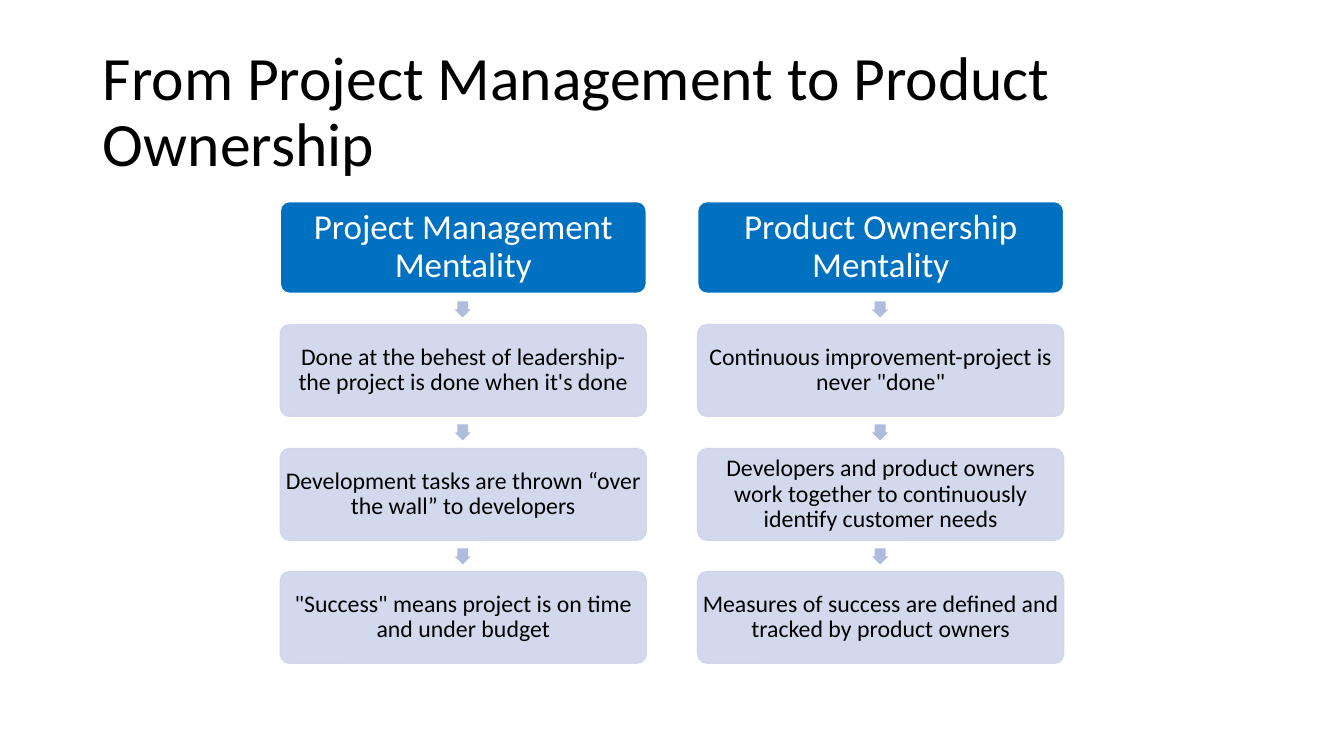
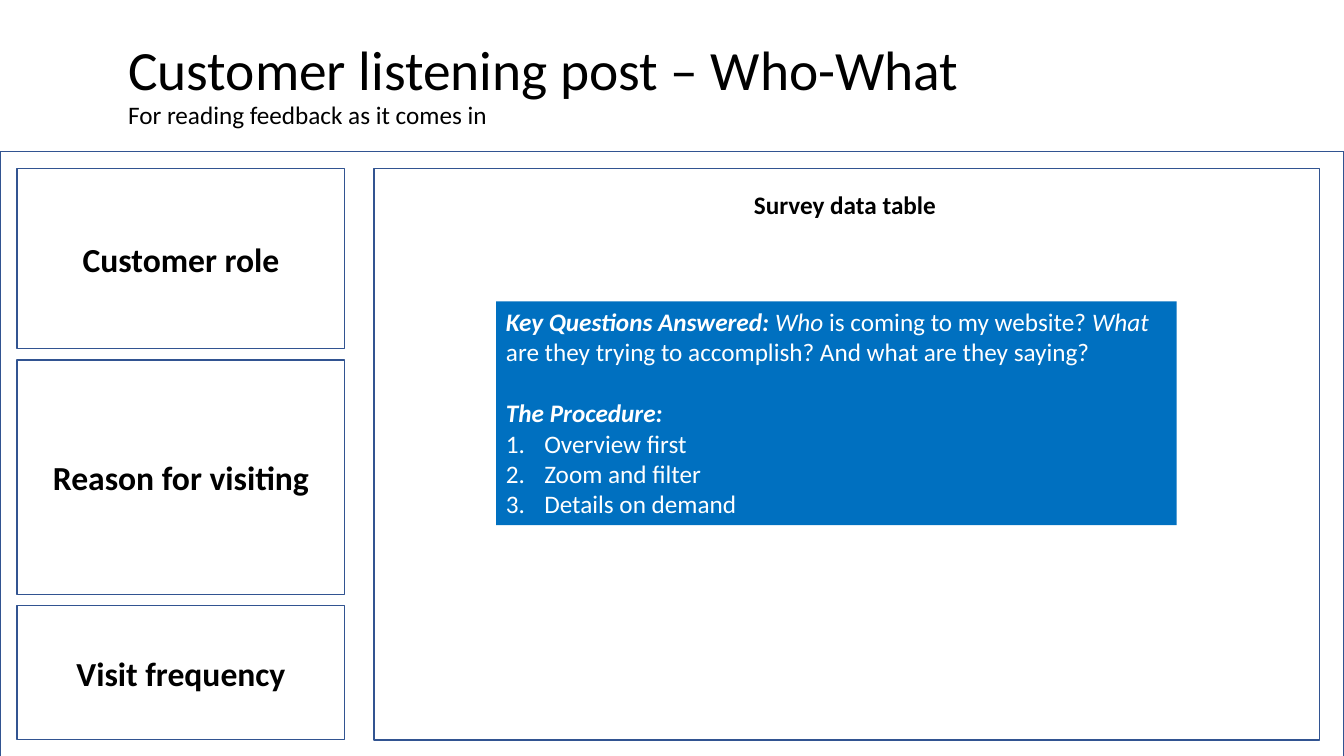
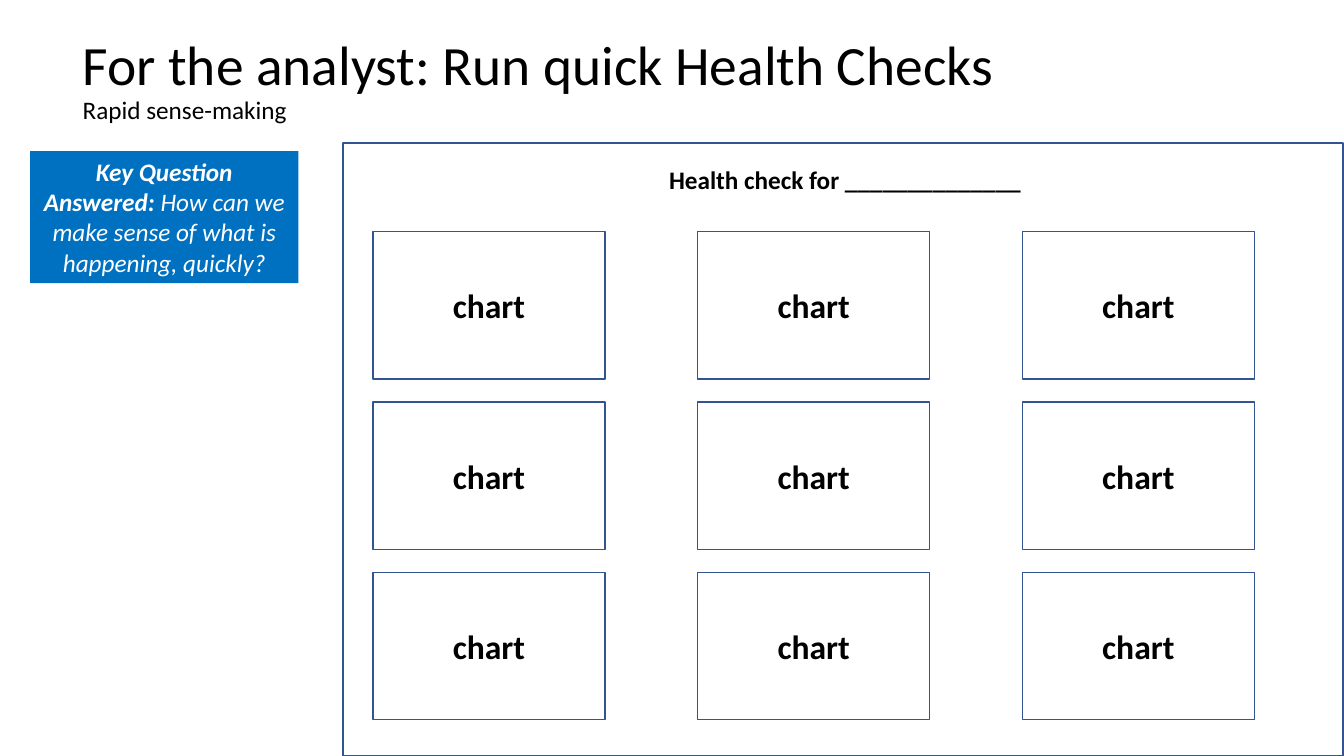
from copy import deepcopy

from lxml import etree
from pptx import Presentation
from pptx.dml.color import RGBColor
from pptx.enum.shapes import MSO_SHAPE
from pptx.enum.text import MSO_ANCHOR, MSO_AUTO_SIZE, PP_ALIGN
from pptx.oxml.ns import qn
from pptx.util import Emu, Pt

RECTANGLE = MSO_SHAPE.RECTANGLE
ROUNDED = MSO_SHAPE.ROUNDED_RECTANGLE
DOWN_ARROW = MSO_SHAPE.DOWN_ARROW
LEFT, CENTER = PP_ALIGN.LEFT, PP_ALIGN.CENTER
TOP, MIDDLE = MSO_ANCHOR.TOP, MSO_ANCHOR.MIDDLE
NO_AUTOFIT = MSO_AUTO_SIZE.NONE

EMU_PER_PX = 9144  # 100 px to the inch
SLIDE_SIZE = (1333, 750)
TITLE_ONLY = 5
FONT = "Calibri"
COLORS = {
    "text": "000000",
    "white": "FFFFFF",
    "accent": "0070C0",
    "outline": "325491",
    "step": "CFD5EA",
    "arrow": "B0BCDE",
}


def px(value):
    return Emu(value * EMU_PER_PX)


def rgb(name):
    return RGBColor.from_string(COLORS[name])


def set_alpha(color_fill, percent):
    """Make every solid colour below the element partly transparent."""
    for color in color_fill.iter(qn("a:srgbClr")):
        etree.SubElement(color, qn("a:alpha"), val=str(percent * 1000))


class Deck:
    """Holds the style and the current slide."""

    def __init__(self):
        self.presentation = Presentation()
        self.presentation.slide_width = px(SLIDE_SIZE[0])
        self.presentation.slide_height = px(SLIDE_SIZE[1])
        self.slide = None

    def add_run(self, paragraph, text, size, color="text", style=""):
        run = paragraph.add_run()
        run.text = text
        run.font.name = FONT
        run.font.size = Pt(size)
        run.font.color.rgb = rgb(color)
        run.font.bold = "b" in style
        run.font.italic = "i" in style
        return run

    def new_slide(self, box, title, subtitle=None, size=44):
        layout = self.presentation.slide_layouts[TITLE_ONLY]
        self.slide = self.presentation.slides.add_slide(layout)
        shape = self.slide.shapes.title
        shape.left, shape.top, shape.width, shape.height = map(px, box)
        frame = shape.text_frame
        frame.word_wrap = True
        frame.auto_size = NO_AUTOFIT
        frame.vertical_anchor = MIDDLE
        paragraph = frame.paragraphs[0]
        paragraph.alignment = LEFT
        paragraph.line_spacing = 0.9
        run = self.add_run(paragraph, title, size)
        if subtitle:
            # The break keeps the title size so the first line stays compact
            paragraph.add_line_break()
            paragraph._p[-1].append(deepcopy(run._r.rPr))
            self.add_run(paragraph, subtitle, 18)

    def fill_text(self, shape, paragraphs, size, color="text", align=CENTER,
                  anchor=MIDDLE):
        """Write paragraphs, each a list of (text, style) runs."""
        frame = shape.text_frame
        frame.word_wrap = True
        frame.vertical_anchor = anchor
        for index, runs in enumerate(paragraphs):
            paragraph = frame.paragraphs[0] if index == 0 else frame.add_paragraph()
            paragraph.alignment = align
            for text, style in runs:
                self.add_run(paragraph, text, size, color, style)
        return frame

    def shape(self, kind, box, fill, line=None):
        shape = self.slide.shapes.add_shape(kind, *map(px, box))
        shape.shadow.inherit = False
        shape.fill.solid()
        shape.fill.fore_color.rgb = rgb(fill)
        if line:
            shape.line.color.rgb = rgb(line)
            shape.line.width = Pt(1)
        else:
            shape.line.fill.background()
        return shape

    def panel(self, box, label=None):
        shape = self.shape(RECTANGLE, box, "white", "outline")
        if label:
            self.fill_text(shape, [[(label, "b")]], 24)

    def heading(self, box, text):
        shape = self.slide.shapes.add_textbox(*map(px, box))
        self.fill_text(shape, [[(text, "b")]], 18, anchor=TOP)

    def callout(self, box, paragraphs, align=LEFT):
        shape = self.shape(RECTANGLE, box, "accent")
        return self.fill_text(shape, paragraphs, 18, "white", align, TOP)

    def number(self, paragraph):
        properties = paragraph._p.get_or_add_pPr()
        properties.set("marL", str(px(38)))
        properties.set("indent", str(-px(38)))
        etree.SubElement(properties, qn("a:buFont"), typeface="+mj-lt")
        etree.SubElement(properties, qn("a:buAutoNum"), type="arabicPeriod")

    def flow_block(self, box, text, is_header):
        fill, line, size, color, inset = (
            ("accent", "white", 25, "white", 3) if is_header
            else ("step", "step", 17, "text", 2))
        shape = self.shape(ROUNDED, box, fill, line)
        shape.adjustments[0] = 0.1
        if not is_header:
            set_alpha(shape._element.spPr, 90)
        frame = self.fill_text(shape, [[(text, "")]], size, color)
        frame.margin_left = frame.margin_right = px(inset)
        frame.margin_top = frame.margin_bottom = px(inset)
        frame.paragraphs[0].line_spacing = 0.9

    def flow_arrow(self, box):
        shape = self.shape(DOWN_ARROW, box, "arrow")
        shape.adjustments[0] = 0.67
        shape.adjustments[1] = 0.5


def mentality_slide(deck):
    deck.new_slide((92, 40, 1150, 145),
                   "From Project Management to Product Ownership")
    columns = [
        ["Project Management Mentality",
         "Done at the behest of leadership-the project is done when it's done",
         "Development tasks are thrown “over the wall” to developers",
         "\"Success\" means project is on time and under budget"],
        ["Product Ownership Mentality",
         "Continuous improvement-project is never \"done\"",
         "Developers and product owners work together to continuously "
         "identify customer needs",
         "Measures of success are defined and tracked by product owners"],
    ]
    width, height, arrow = 363, 91, 16
    for column, texts in enumerate(columns):
        left = 278 + column * 414
        for row, text in enumerate(texts):
            top = 200 + row * 245 // 2
            deck.flow_block((left, top, width, height), text, row == 0)
            if row < len(texts) - 1:
                deck.flow_arrow((left + (width - arrow) // 2, top + 99,
                                 arrow, arrow))


def listening_post_slide(deck):
    deck.new_slide((117, 50, 1100, 71), "Customer listening post – Who-What",
                   "For reading feedback as it comes in", 39.6)
    # Dashboard frame and its panels
    deck.panel((0, 150, 1333, 608))
    deck.panel((371, 167, 938, 567))
    for top, height, label in [(167, 179, "Customer role"),
                               (357, 233, "Reason for visiting"),
                               (601, 133, "Visit frequency")]:
        deck.panel((17, top, 325, height), label)
    deck.heading((369, 183, 938, 40), "Survey data table")

    # Questions and procedure
    steps = ["Overview first", "Zoom and filter", "Details on demand"]
    frame = deck.callout((492, 299, 675, 222), [
        [("Key Questions Answered: ", "bi"), ("Who", "i"),
         (" is coming to my website? ", ""), ("What", "i"),
         (" are they trying to accomplish? And what are they saying?", "")],
        [("The Procedure:", "bi")],
        *[[(step, "")] for step in steps],
    ])
    frame.paragraphs[1].space_before = Pt(22)
    for paragraph in frame.paragraphs[2:]:
        deck.number(paragraph)


def health_check_slide(deck):
    deck.new_slide((72, 31, 1190, 100),
                   "For the analyst: Run quick Health Checks",
                   "Rapid sense-making", 39.6)
    # Dashboard frame with a grid of charts
    deck.panel((340, 142, 992, 608))
    deck.heading((369, 158, 938, 40), "Health check for ______________")
    for row in range(3):
        for column in range(3):
            deck.panel((370 + column * 322, 230 + row * 169, 230, 146), "chart")

    deck.callout((30, 150, 266, 131), [
        [("Key Question Answered: ", "bi"),
         ("How can we make sense of what is happening, quickly?", "i")],
    ], CENTER)


def main():
    deck = Deck()
    mentality_slide(deck)
    listening_post_slide(deck)
    health_check_slide(deck)
    deck.presentation.save("out.pptx")


if __name__ == "__main__":
    main()
